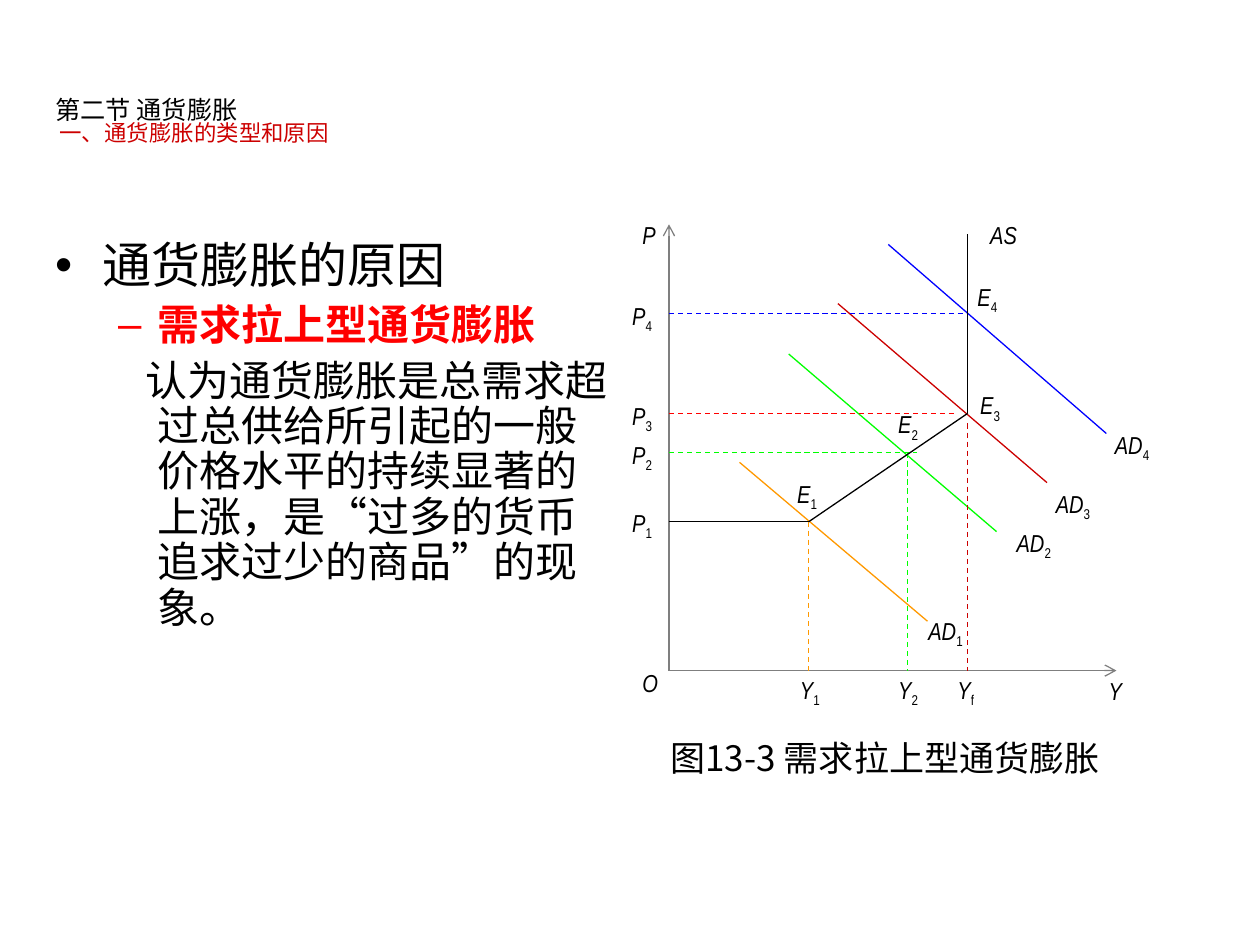
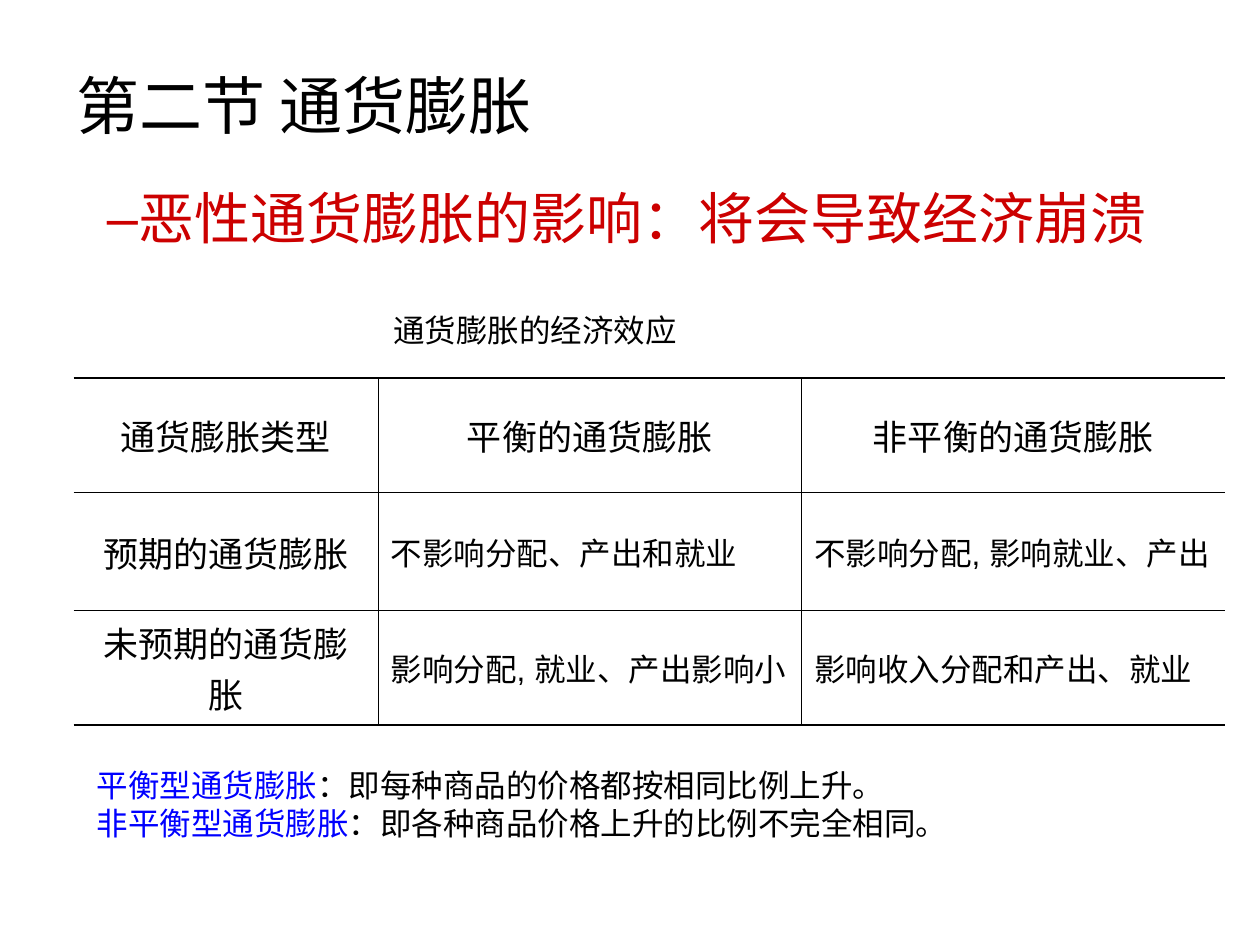
from lxml.etree import SubElement
from pptx import Presentation
from pptx.dml.color import RGBColor
from pptx.enum.dml import MSO_LINE
from pptx.enum.lang import MSO_LANGUAGE_ID
from pptx.enum.shapes import MSO_CONNECTOR
from pptx.enum.text import MSO_ANCHOR, MSO_AUTO_SIZE, PP_ALIGN
from pptx.oxml.ns import qn
from pptx.util import Pt

COLOURS = {
    "black": "000000", "grey": "7F7F7F", "orange": "FF9900", "green": "00FF00",
    "crimson": "CC0000", "red": "FF0000", "blue": "0000FF",
}
CJK = "Noto Sans CJK SC"
FORMATS = {
    "section": {"size": Pt(14.4), "name": CJK},
    "subsection": {"size": Pt(12.8), "name": CJK},
    "title": {"size": Pt(36), "name": CJK},
    "topic": {"size": Pt(28), "name": "Arial"},
    "cause": {"size": Pt(24), "name": "Arial", "bold": True},
    "detail": {"size": Pt(24), "name": "Arial"},
    "effect": {"size": Pt(32), "name": "Arial"},
    "caption": {"size": Pt(20), "name": CJK},
    "label": {"size": Pt(14), "name": "Arial Narrow", "italic": True},
    "subscript": {"size": Pt(14), "name": "Arial Narrow", "italic": False},
    "head": {"size": Pt(20), "name": "Arial"},
    "mixed": {"size": Pt(18), "name": "Arial"},
    "plain": {"size": Pt(18), "name": CJK},
    "note": {"size": Pt(18), "name": "Times New Roman"},
}


class SlideBuilder:
    def __init__(self):
        self.deck = Presentation()
        self.deck.slide_width, self.deck.slide_height = Pt(720), Pt(540)
        self.page = None

    def colour(self, name):
        return RGBColor.from_string(COLOURS[name])

    def title(self, left, top, paras):
        self.page = self.deck.slides.add_slide(self.deck.slide_layouts[5])
        box = self.page.shapes.title
        box.left, box.top, box.width, box.height = Pt(left), Pt(top), Pt(648), Pt(67.7)
        self.fill_frame(box.text_frame, paras, MSO_ANCHOR.MIDDLE)

    def text(self, left, top, width, height, paras):
        box = self.page.shapes.add_textbox(Pt(left), Pt(top), Pt(width), Pt(height))
        self.fill_frame(box.text_frame, paras)

    def fill_frame(self, frame, paras, anchor=MSO_ANCHOR.TOP):
        frame.word_wrap = True
        frame.auto_size = MSO_AUTO_SIZE.NONE
        frame.vertical_anchor = anchor
        for index, (spans, layout) in enumerate(paras):
            para = frame.add_paragraph() if index else frame.paragraphs[0]
            self.fill_para(para, spans, **layout)

    def fill_para(self, para, spans, margin=0, indent=0, bullet=None, **layout):
        properties = para._p.get_or_add_pPr()
        properties.set("marL", str(Pt(margin)))
        properties.set("indent", str(Pt(indent)))
        if bullet:
            fill = SubElement(properties, qn("a:buClr"))
            SubElement(fill, qn("a:srgbClr"), val=COLOURS[spans[0][2]])
            SubElement(properties, qn("a:buFont"), typeface="Arial")
            SubElement(properties, qn("a:buChar"), char=bullet)
        for key, value in {"alignment": PP_ALIGN.LEFT, **layout}.items():
            setattr(para, key, value)
        for text, style, colour in spans:
            span = para.add_run()
            span.text = text
            span.font.color.rgb = self.colour(colour)
            span.font.language_id = MSO_LANGUAGE_ID.SIMPLIFIED_CHINESE
            for key, value in FORMATS[style].items():
                setattr(span.font, key, value)
            run_properties = span._r.get_or_add_rPr()
            SubElement(run_properties, qn("a:ea"), typeface=CJK)
            if style == "subscript":
                run_properties.set("baseline", "-25000")

    def label(self, name, subscript, left, top, width, alignment=PP_ALIGN.LEFT):
        spans = [(name, "label", "black")]
        if subscript:
            spans.append((subscript, "subscript", "black"))
        self.text(left, top, width, 26.6, [(spans, {"alignment": alignment})])

    def line(self, start, end, colour, dashed=False, arrow=False):
        line = self.page.shapes.add_connector(
            MSO_CONNECTOR.STRAIGHT, *(Pt(value) for value in (*start, *end)))
        line.line.color.rgb = self.colour(colour)
        line.line.width = Pt(0.75)
        if dashed:
            line.line.dash_style = MSO_LINE.DASH
        if arrow:
            SubElement(line._element.spPr.find(qn("a:ln")), qn("a:tailEnd"), type="arrow")
        SubElement(line._element.spPr, qn("a:effectLst"))

    def border(self, cell, side, width):
        edge = SubElement(cell._tc.get_or_add_tcPr(), qn(f"a:ln{side}"), w=str(Pt(width)))
        if width:
            fill = SubElement(edge, qn("a:solidFill"))
            SubElement(fill, qn("a:srgbClr"), val=COLOURS["black"])
        else:
            SubElement(edge, qn("a:noFill"))

    def table(self, left, top, widths, heights, rows):
        table = self.page.shapes.add_table(
            len(rows), len(widths), Pt(left), Pt(top), Pt(sum(widths)), Pt(sum(heights))).table
        table.first_row = table.horz_banding = False
        for column, width in zip(table.columns, widths):
            column.width = Pt(width)
        for row, height in zip(table.rows, heights):
            row.height = Pt(height)
        last_row, last_column = len(rows) - 1, len(widths) - 1
        for r, row in enumerate(rows):
            for c, (text, style) in enumerate(row):
                cell = table.cell(r, c)
                cell.vertical_anchor = MSO_ANCHOR.MIDDLE
                edges = {
                    "L": 0.45 if c else 0, "R": 0.45 if c < last_column else 0,
                    "T": 0.45 if r else 1.08, "B": 0.45 if r < last_row else 1.08,
                }
                for side, width in edges.items():
                    self.border(cell, side, width)
                cell.fill.background()
                alignment = PP_ALIGN.CENTER if style == "head" else PP_ALIGN.LEFT
                self.fill_para(cell.text_frame.paragraphs[0], [(text, style, "black")],
                               alignment=alignment)


def build_causes(builder):
    builder.title(24.5, 36.5, [
        ([("第二节 通货膨胀", "section", "black")], {"line_spacing": 0.8}),
        ([("一、通货膨胀的类型和原因", "subsection", "crimson")],
         {"line_spacing": 0.8, "margin": 2.2}),
    ])
    spaced = {"line_spacing": 0.9, "space_before": Pt(6), "margin": 58.5}
    builder.text(24.5, 134, 332, 323, [
        ([("通货膨胀的原因", "topic", "black")],
         {"line_spacing": 0.9, "margin": 27, "indent": -27, "bullet": "•"}),
        ([("需求拉上型通货膨胀", "cause", "red")],
         {**spaced, "indent": -22.5, "bullet": "–"}),
        ([("认为通货膨胀是总需求超过总供给所引起的一般价格水平的持续显著的上涨，"
           "是“过多的货币追求过少的商品”的现象。", "detail", "black")],
         {**spaced, "indent": -6.8}),
    ])
    builder.text(371.5, 417.6, 286.6, 55.4, [
        ([("图13-3 需求拉上型通货膨胀", "caption", "black")], {"margin": 4.5})])

    origin_x, origin_y = 382.3, 383.2
    y1, y2, yf = 462.2, 518.4, 553
    p1, p2, p3, p4 = 298.1, 258.5, 236.2, 179.3
    for end in ((638, origin_y), (origin_x, 128.2)):
        builder.line((origin_x, origin_y), end, "grey", arrow=True)
    demand_curves = [
        ((422.6, 264.2), (530, 355), "orange"),
        ((450.7, 202.3), (569.5, 303.8), "green"),
        ((478.8, 173.5), (598.3, 275.8), "crimson"),
        ((507.6, 139.7), (632.2, 247.7), "blue"),
    ]
    for start, end, colour in demand_curves:
        builder.line(start, end, colour)
    for x, top, colour in ((y1, p1, "orange"), (y2, p2, "green"), (yf, 242, "crimson")):
        builder.line((x, top), (x, origin_y), colour, dashed=True)
    for y, right, colour in ((p2, 524.2, "green"), (p3, 547.2, "red"), (p4, yf, "blue")):
        builder.line((origin_x, y), (right, y), colour, dashed=True)
    supply = [(origin_x, p1), (y1, p1), (yf, p3), (yf, 134)]
    for start, end in zip(supply, supply[1:]):
        builder.line(start, end, "black")

    labels = [
        ("O", "", 360, 378, 28), ("Y", "", 626.4, 383, 34),
        ("P", "", 360, 122.4, 34), ("AS", "", 558.7, 122.4, 51),
        ("E", "1", 444.2, 270, 34, PP_ALIGN.CENTER), ("E", "2", 506.2, 230.4, 45),
        ("E", "3", 545.8, 219.6, 40, PP_ALIGN.CENTER), ("E", "4", 551.5, 157.7, 45),
        ("AD", "1", 523.4, 348.5, 68), ("AD", "2", 573.8, 298.1, 73),
        ("AD", "3", 596.2, 275.8, 62), ("AD", "4", 630, 242, 56),
    ]
    labels += [("Y", name, left, 382.3, 45)
               for name, left in (("1", 450), ("2", 506.2), ("f", 540))]
    labels += [("P", name, 354.2, top, 34)
               for name, top in (("1", 286.6), ("2", 247.7), ("3", 225.4), ("4", 168.5))]
    for label in labels:
        builder.label(*label)


def build_effects(builder):
    builder.title(36.7, 26, [([("第二节 通货膨胀", "title", "black")], {})])
    builder.text(54, 105.8, 612, 62.6, [
        ([("恶性通货膨胀的影响：将会导致经济崩溃", "effect", "crimson")],
         {"line_spacing": 0.9, "margin": 18, "indent": -18, "bullet": "–"})])
    builder.table(42, 216, (174, 242, 242), (65.5, 67.5, 65.5), [
        [("通货膨胀类型", "head"), ("平衡的通货膨胀", "head"), ("非平衡的通货膨胀", "head")],
        [("预期的通货膨胀", "head"), ("不影响分配、产出和就业", "plain"),
         ("不影响分配, 影响就业、产出", "mixed")],
        [("未预期的通货膨胀", "head"), ("影响分配, 就业、产出影响小", "mixed"),
         ("影响收入分配和产出、就业", "plain")],
    ])
    builder.text(210.2, 174.2, 244, 29, [
        ([("通货膨胀的经济效应", "mixed", "black")], {"margin": 7.5})])
    notes = [
        ("平衡型通货膨胀", "：即每种商品的价格都按相同比例上升。"),
        ("非平衡型通货膨胀", "：即各种商品价格上升的比例不完全相同。"),
    ]
    builder.text(48.2, 434.2, 636.5, 50.4, [
        ([(term, "note", "blue"), (meaning, "note", "black")], {})
        for term, meaning in notes])


def main():
    builder = SlideBuilder()
    build_causes(builder)
    build_effects(builder)
    builder.deck.save("out.pptx")


if __name__ == "__main__":
    main()
